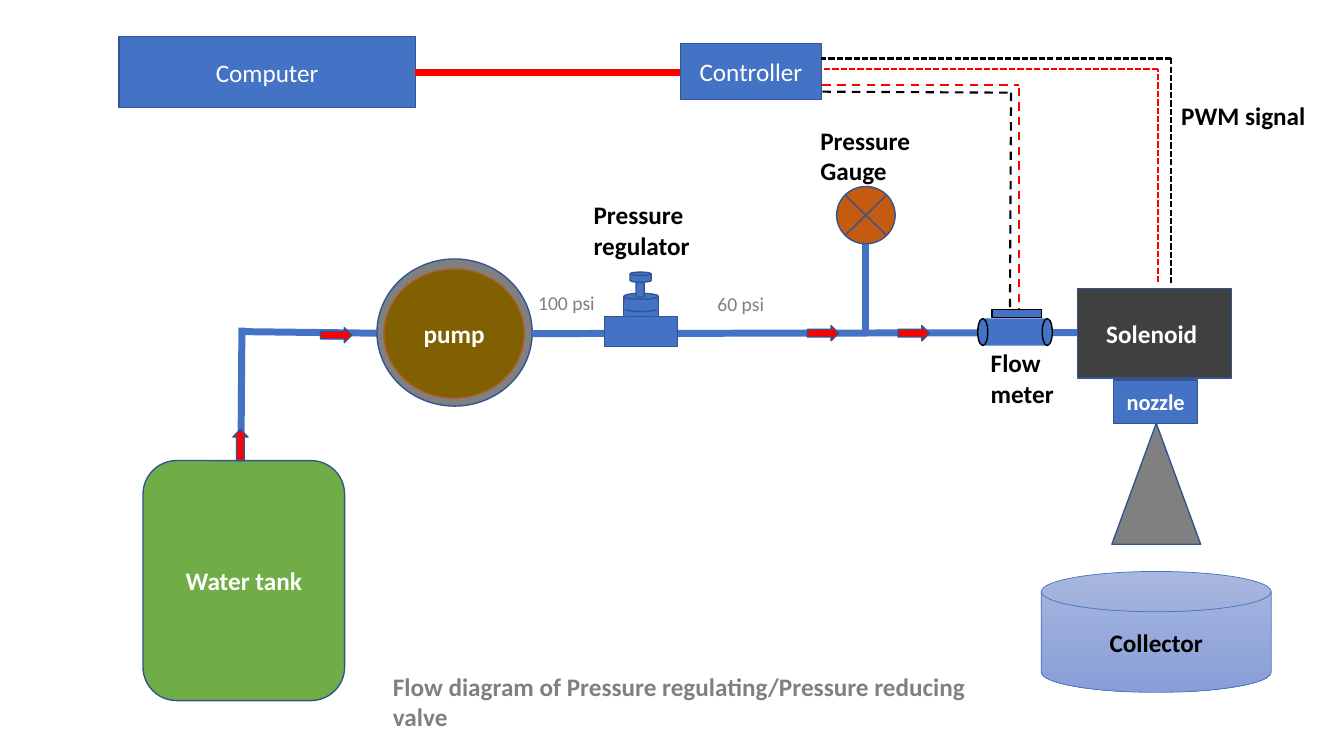
from dataclasses import dataclass

from pptx import Presentation
from pptx.dml.color import RGBColor
from pptx.enum.dml import MSO_LINE
from pptx.enum.shapes import MSO_CONNECTOR, MSO_SHAPE
from pptx.enum.text import MSO_ANCHOR, MSO_AUTO_SIZE, PP_ALIGN
from pptx.oxml.ns import qn
from pptx.util import Pt
from lxml import etree

RECTANGLE = MSO_SHAPE.RECTANGLE
ROUNDED = MSO_SHAPE.ROUNDED_RECTANGLE
OVAL = MSO_SHAPE.OVAL
TRIANGLE = MSO_SHAPE.ISOSCELES_TRIANGLE
DISK = MSO_SHAPE.FLOWCHART_MAGNETIC_DISK
CAN = MSO_SHAPE.CAN
JUNCTION = MSO_SHAPE.FLOWCHART_SUMMING_JUNCTION
ARROW = MSO_SHAPE.RIGHT_ARROW
DASH = MSO_LINE.DASH
SHORT_DASH = MSO_LINE.SQUARE_DOT
CENTER = PP_ALIGN.CENTER
LEFT = PP_ALIGN.LEFT
MIDDLE = MSO_ANCHOR.MIDDLE
STRAIGHT = MSO_CONNECTOR.STRAIGHT
GROW = MSO_AUTO_SIZE.SHAPE_TO_FIT_TEXT

FONT = "Calibri"
BLUE, EDGE, RED = "4472C4", "325491", "FF0000"
BLACK, WHITE, GRAY = "000000", "FFFFFF", "808080"


@dataclass(frozen=True)
class Part:
    kind: MSO_SHAPE
    left: float
    top: float
    width: float
    height: float
    fill: str = BLUE
    fill_end: str = ""
    edge: str = EDGE
    edge_width: float = 1
    rotation: float = 0
    text: str = ""
    size: float = 18
    bold: bool = True
    color: str = WHITE


@dataclass(frozen=True)
class Line:
    points: tuple[tuple[float, float], ...]
    color: str = BLUE
    width: float = 5
    dash: MSO_LINE | None = None


@dataclass(frozen=True)
class Label:
    text: str
    left: float
    top: float
    width: float
    height: float
    size: float = 18
    bold: bool = True
    color: str = BLACK
    wrap: bool = False


def rgb(color: str) -> RGBColor:
    return RGBColor.from_string(color)


def write_text(frame, text: str, *, size: float, bold: bool, color: str, align: PP_ALIGN) -> None:
    for index, line in enumerate(text.split("\n")):
        paragraph = frame.add_paragraph() if index else frame.paragraphs[0]
        paragraph.alignment = align
        run = paragraph.add_run()
        run.text = line
        run.font.name = FONT
        run.font.size = Pt(size)
        run.font.bold = bold
        run.font.color.rgb = rgb(color)


def draw_part(slide, part: Part) -> None:
    shape = slide.shapes.add_shape(
        part.kind, Pt(part.left), Pt(part.top), Pt(part.width), Pt(part.height)
    )
    shape.shadow.inherit = False
    shape.rotation = part.rotation
    if part.fill_end:
        shape.fill.gradient()
        shape.fill.gradient_angle = 270
        for stop, color in zip(shape.fill.gradient_stops, (part.fill, part.fill_end)):
            stop.color.rgb = rgb(color)
    else:
        shape.fill.solid()
        shape.fill.fore_color.rgb = rgb(part.fill)
    if part.edge:
        shape.line.color.rgb = rgb(part.edge)
        shape.line.width = Pt(part.edge_width)
    else:
        shape.line.fill.background()
    if part.text:
        shape.text_frame.word_wrap = True
        shape.text_frame.vertical_anchor = MIDDLE
        write_text(shape.text_frame, part.text, size=part.size, bold=part.bold,
                   color=part.color, align=CENTER)


def draw_line(slide, line: Line) -> None:
    for start, end in zip(line.points, line.points[1:]):
        connector = slide.shapes.add_connector(STRAIGHT, *map(Pt, start + end))
        connector.line.color.rgb = rgb(line.color)
        connector.line.width = Pt(line.width)
        if line.dash is not None:
            connector.line.dash_style = line.dash
        etree.SubElement(connector.element.spPr, qn("a:effectLst"))


def draw_label(slide, label: Label) -> None:
    box = slide.shapes.add_textbox(
        Pt(label.left), Pt(label.top), Pt(label.width), Pt(label.height)
    )
    box.text_frame.word_wrap = label.wrap
    box.text_frame.auto_size = GROW
    write_text(box.text_frame, label.text, size=label.size, bold=label.bold,
               color=label.color, align=LEFT)


SUPPLY = [
    Part(RECTANGLE, 445.7, 216, 24.5, 10.8),
    Part(ROUNDED, 102.2, 329, 144, 171.4, "70AD47", text="Water tank"),
    Line(((172.1, 329), (172.8, 234))),
    Line(((174.2, 236.9), (354.2, 239))),
    Part(OVAL, 269.3, 185, 110.9, 105.1, GRAY),
    Part(OVAL, 274.3, 192.2, 100.1, 92.2, "806000", edge="AF5C24", text="pump"),
    Line(((380.2, 238.3), (769.7, 237.6))),
]
SPRAY = [
    Part(RECTANGLE, 769.7, 205.9, 110.2, 64.1, "404040", text="Solenoid "),
    Part(TRIANGLE, 794.2, 302.4, 63.4, 86.4, GRAY),
    Part(RECTANGLE, 795.6, 271.4, 59.8, 31, text="nozzle", size=16),
    Part(DISK, 743.8, 408.2, 164.2, 86.4, "A8B7DF", "889ED7", BLUE, 0.5,
         text="Collector", color=BLACK),
]
GAUGE = [
    Line(((618.5, 236.9), (618.5, 174.2))),
    Part(JUNCTION, 597.6, 133.2, 41.8, 41, "C55A11"),
    Label("Pressure\nGauge", 578.9, 85.7, 83.5, 51.1),
]
CONTROL = [
    Part(RECTANGLE, 85, 25.9, 211.7, 51.1, text="Computer", bold=False),
    Line(((296.6, 51.8), (486, 51.8)), RED),
    Part(RECTANGLE, 486, 31, 100.8, 40.3, text="Controller", bold=False),
]
FLOW_ARROWS = [
    Part(ARROW, left, top, 22.3, 10.8, RED, rotation=rotation)
    for left, top, rotation in (
        (229, 234, 0), (576.7, 232.6, 0), (641.5, 232.6, 0), (160.6, 312.5, 270)
    )
]
REGULATOR = [
    Part(RECTANGLE, 432, 226.1, 51.8, 21.6),
    Part(DISK, 445.7, 209.5, 24.5, 13),
    *(Line(((x, 216), (x, 226.8)), width=0.5) for x in (445.7, 469.4)),
    Part(CAN, 454.3, 199.4, 5.8, 13),
    Part(DISK, 450, 194.4, 15.1, 7.2),
    Label("Pressure\nregulator", 416.9, 139, 83.5, 51.1),
    Label("100 psi", 377.3, 204.5, 55.4, 24.5, 14, False, GRAY),
    Label("60 psi", 505.4, 205.2, 48.2, 24.5, 14, False, GRAY),
]
PWM = [
    Label("PWM signal", 836.6, 68.4, 104.4, 28.8),
    Line(((836.6, 202.3), (836.6, 41.8), (586.8, 41.8)), BLACK, 1.5, SHORT_DASH),
    Line(((827.3, 201.6), (827.3, 49), (586.8, 49)), RED, 1.5, SHORT_DASH),
]
FLOW_METER = [
    Part(RECTANGLE, 702.7, 227.5, 46.1, 19.4, edge=""),
    *(Part(OVAL, left, 227.5, 7.2, 19.4, edge=BLACK) for left in (698.4, 744.5)),
    Part(RECTANGLE, 708.5, 221, 35.3, 5.8, edge=BLACK),
    Label("Flow\nmeter", 700.6, 244.8, 59.8, 51.1),
    Line(((587.5, 65.5), (722.2, 66.2), (721.4, 221)), BLACK, 1.5, DASH),
    Line(((587.5, 60.5), (727.9, 60.5)), RED, 1.5, DASH),
    Line(((727.9, 62.6), (727.9, 221)), RED, 1.5, DASH),
]
CAPTION = [
    Label("Flow diagram of Pressure regulating/Pressure reducing valve",
          273.6, 475.9, 460, 28.8, color=GRAY, wrap=True),
]
DRAWERS = {Part: draw_part, Line: draw_line, Label: draw_label}


def main() -> None:
    presentation = Presentation()
    presentation.slide_width = Pt(960)
    presentation.slide_height = Pt(540)
    slide = presentation.slides.add_slide(presentation.slide_layouts[6])
    for group in (SUPPLY, SPRAY, GAUGE, CONTROL, FLOW_ARROWS, CAPTION,
                  REGULATOR, PWM, FLOW_METER):
        for element in group:
            DRAWERS[type(element)](slide, element)
    presentation.save("out.pptx")


if __name__ == "__main__":
    main()
